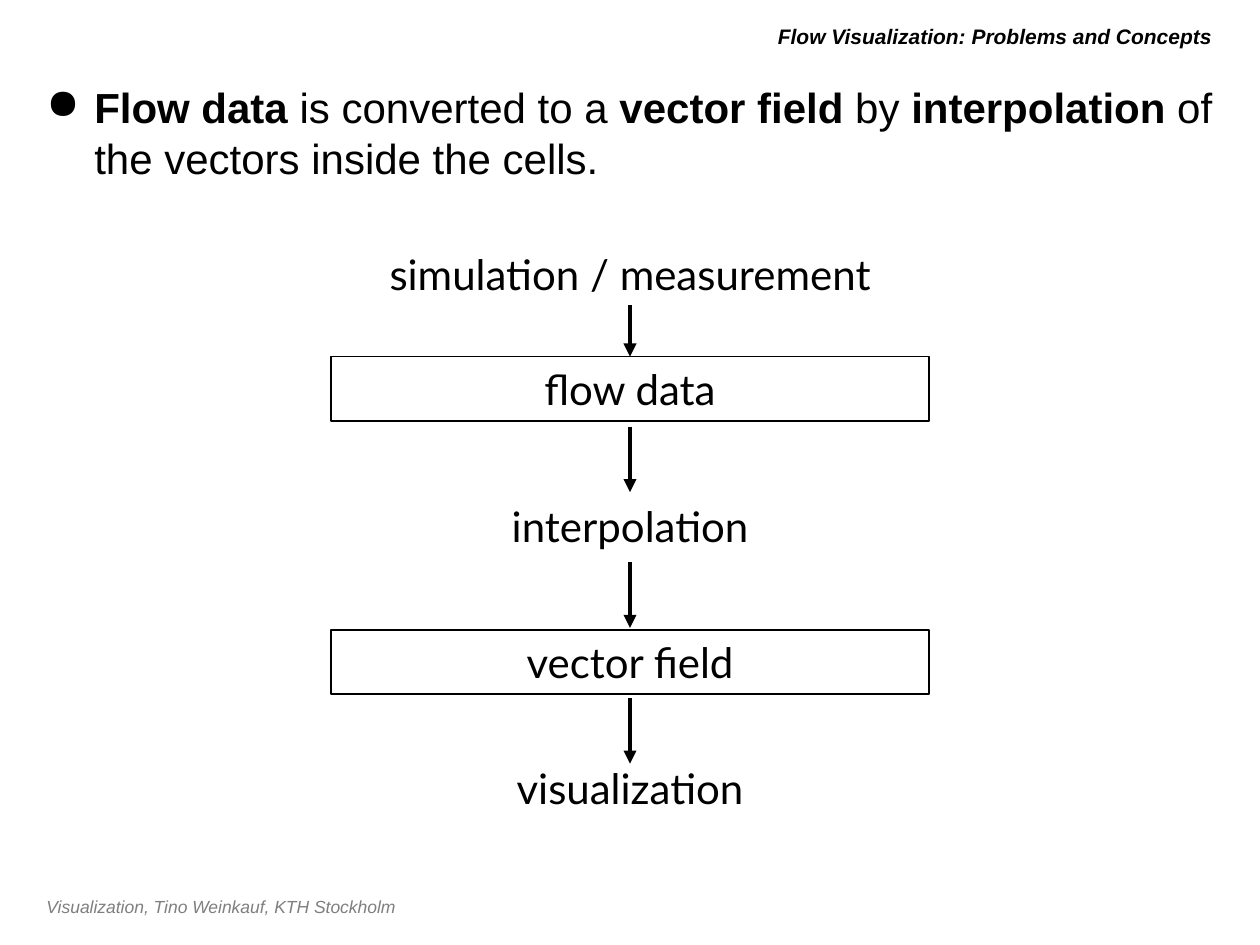
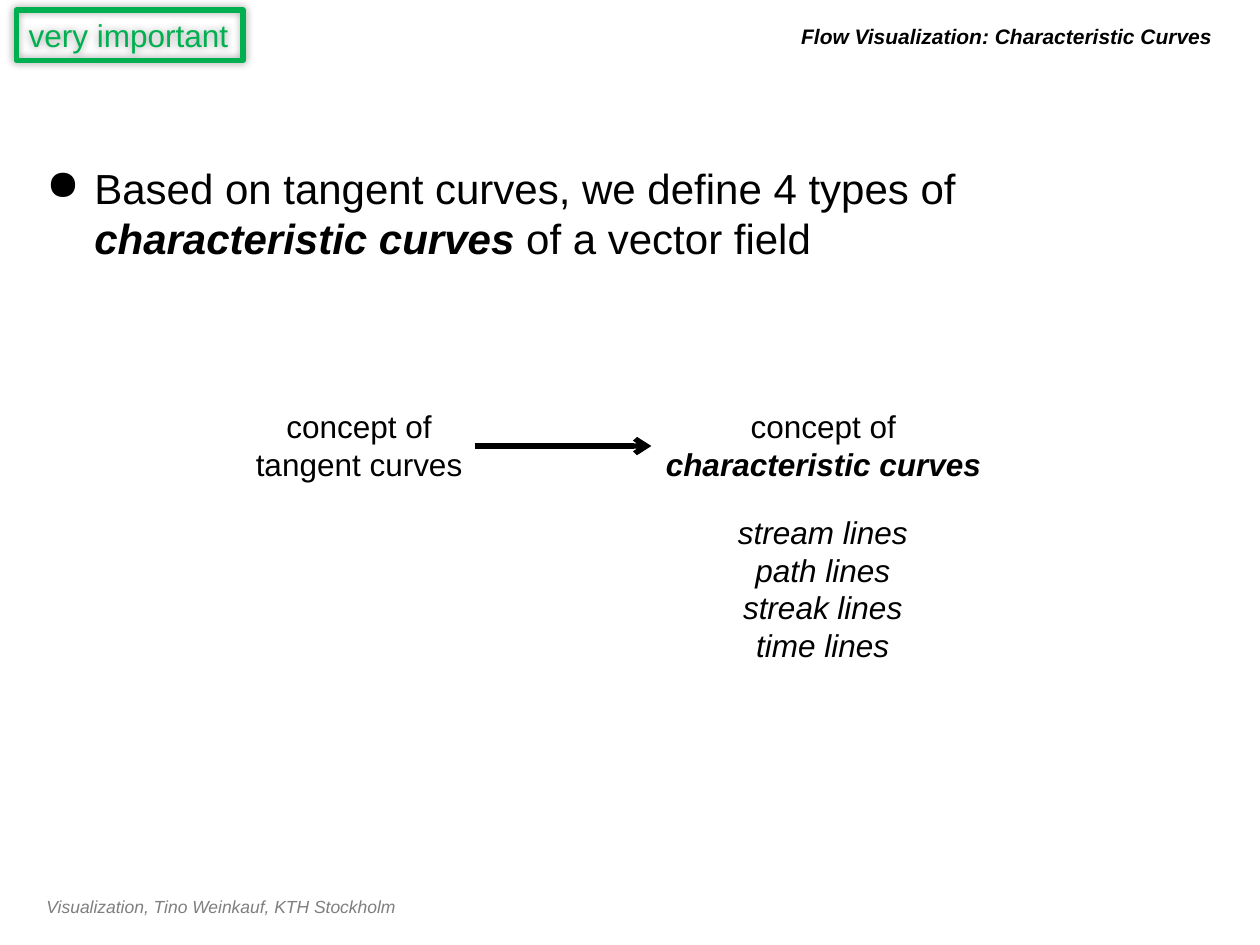
"""Builds two lecture slides on flow visualization."""
from dataclasses import dataclass

import pptx
import pptx.dml.color
import pptx.enum.shapes
import pptx.enum.text
import pptx.oxml
import pptx.oxml.ns
import pptx.util

COLS, ROWS = 100, 75
CELL = pptx.util.Inches(0.1)
ALIGN = pptx.enum.text.PP_ALIGN
ANCHOR = pptx.enum.text.MSO_ANCHOR


@dataclass(frozen=True)
class Theme:
    """Colours, fonts and type sizes in one place."""
    ink: str = "000000"
    muted: str = "7F7F7F"
    accent: str = "00B050"
    sans: str = "Arial"
    chart: str = "Lato"
    footer: int = 10
    title: int = 12
    label: int = 18
    body: int = 24


THEME = Theme()


def grid(*cells):
    """Turn grid cells into slide lengths."""
    return [round(c * CELL) for c in cells]


def rgb(color):
    """Return the RGB colour for a hex string."""
    return pptx.dml.color.RGBColor.from_string(color)


def add_xml(parent, xml):
    """Append one DrawingML element to a parent."""
    ns = pptx.oxml.ns.nsdecls("a")
    tag, rest = xml.split(" ", 1)
    parent.append(pptx.oxml.parse_xml(f"{tag} {ns} {rest}"))


def style(font, size, color=THEME.ink, name=THEME.sans, bold=None, italic=None):
    """Set the look of a font."""
    font.size, font.name = pptx.util.Pt(size), name
    font.bold, font.italic = bold, italic
    font.color.rgb = rgb(color)


def fill_text(sp, lines, size, align=ALIGN.LEFT, anchor=ANCHOR.TOP, wrap=True, **look):
    """Write one paragraph per line into a shape."""
    tf = sp.text_frame
    tf.word_wrap, tf.vertical_anchor = wrap, anchor
    for i, line in enumerate(lines):
        p = tf.add_paragraph() if i else tf.paragraphs[0]
        p.text, p.alignment = line, align
        style(p.font, size, **look)
    return tf


def add_text(s, box, lines, size, **look):
    """Add a text box."""
    return fill_text(s.shapes.add_textbox(*grid(*box)), lines, size, **look)


def add_frame(s, box, text, size, width, color=THEME.ink, **look):
    """Add an outlined rectangle with text."""
    sp = s.shapes.add_shape(pptx.enum.shapes.MSO_SHAPE.RECTANGLE, *grid(*box))
    sp.shadow.inherit = False
    sp.fill.background()
    sp.line.color.rgb, sp.line.width = rgb(color), pptx.util.Pt(width)
    fill_text(sp, [text], size, color=color, **look)
    return sp


def add_arrow(s, ends, width, head):
    """Add a straight arrow between two grid points."""
    kind = pptx.enum.shapes.MSO_CONNECTOR.STRAIGHT
    line = s.shapes.add_connector(kind, *grid(*ends))
    line.line.color.rgb, line.line.width = rgb(THEME.ink), pptx.util.Pt(width)
    add_xml(line.line._get_or_add_ln(), f'<a:tailEnd type="{head}"/>')
    add_xml(line._element.spPr, "<a:effectLst />")


def add_bullet(s, top, runs):
    """Add the bulleted statement from (text, bold, italic) runs."""
    tf = add_text(s, (2.7, top, 94.5, 69 - top), [""], THEME.body)
    p = tf.paragraphs[0]
    pPr = p._p.get_or_add_pPr()
    pPr.set("marL", str(pptx.util.Inches(0.38)))
    pPr.set("indent", str(-pptx.util.Inches(0.38)))
    pPr.insert(0, pptx.oxml.parse_xml(
        f'<a:buChar {pptx.oxml.ns.nsdecls("a")} char="●"/>'))
    for text, bold, italic in runs:
        r = p.add_run()
        r.text = text
        r.font.bold, r.font.italic = bold, italic


def add_slide(prs, title):
    """Add a blank slide with the shared footer and title."""
    s = prs.slides.add_slide(prs.slide_layouts[6])
    add_text(s, (2.7, 70.6, 73.9, 2.7), ["Visualization, Tino Weinkauf, KTH Stockholm"],
             THEME.footer, color=THEME.muted, italic=True)
    add_text(s, (15.8, 1.3, 81.4, 3.1), [title], THEME.title,
             align=ALIGN.RIGHT, anchor=ANCHOR.MIDDLE, bold=True, italic=True)
    return s


def build_pipeline(prs):
    """Build the slide on the steps from data to visualization."""
    s = add_slide(prs, "Flow Visualization: Problems and Concepts")
    add_bullet(s, 6, [("Flow data", True, False), (" is converted to a ", False, False),
                      ("vector field", True, False), (" by ", False, False),
                      ("interpolation", True, False),
                      (" of the vectors inside the cells.", False, False)])
    width = 47.5
    left = (COLS - width) / 2
    look = dict(size=THEME.body, name=THEME.chart, align=ALIGN.CENTER)
    for row, step in ((19.2, "simulation / measurement"), (39.2, "interpolation"),
                      (60, "visualization")):
        add_text(s, (left, row, width, 5), [step], **look)
    for row, data in ((28.3, "flow data"), (50, "vector field")):
        add_frame(s, (left, row, width, 5.1), data, width=1, anchor=ANCHOR.MIDDLE, **look)
    for i in range(4):
        tip = 28.3 + 10.77 * i
        add_arrow(s, (COLS / 2, max(24.2, tip - 5.2), COLS / 2, tip), 2.5, "triangle")


def build_curves(prs):
    """Build the slide on characteristic curves."""
    s = add_slide(prs, "Flow Visualization: Characteristic Curves")
    add_bullet(s, 12.4, [("Based on tangent curves, we define 4 types of ", False, False),
                         ("characteristic curves ", True, True),
                         ("of a vector field", False, False)])
    tag = add_frame(s, (1.3, 0.8, 18, 4), "very important", THEME.label, 3,
                    color=THEME.accent, wrap=False)
    add_xml(tag._element.spPr.find(pptx.oxml.ns.qn("a:effectLst")),
            f'<a:outerShdw blurRad="{pptx.util.Pt(5)}" dist="0" dir="0">'
            f'<a:srgbClr val="{THEME.ink}"><a:alpha val="40000"/></a:srgbClr></a:outerShdw>')
    look = dict(size=THEME.label, align=ALIGN.CENTER, wrap=False)
    add_text(s, (19.2, 31.8, 18.6, 7.1), ["concept of", "tangent curves"], **look)
    tf = add_text(s, (51.7, 31.8, 27.3, 7.1), ["concept of", "characteristic curves"], **look)
    tf.paragraphs[1].font.bold = tf.paragraphs[1].font.italic = True
    add_text(s, (57.5, 40.2, 15.6, 13.1),
             ["stream lines", "path lines", "streak lines", "time lines"], italic=True, **look)
    add_arrow(s, (37.7, 35.4, 51.7, 35.4), 3, "arrow")


def main():
    """Build and save the presentation."""
    prs = pptx.Presentation()
    prs.slide_width, prs.slide_height = grid(COLS, ROWS)
    build_pipeline(prs)
    build_curves(prs)
    prs.save("out.pptx")


if __name__ == "__main__":
    main()
